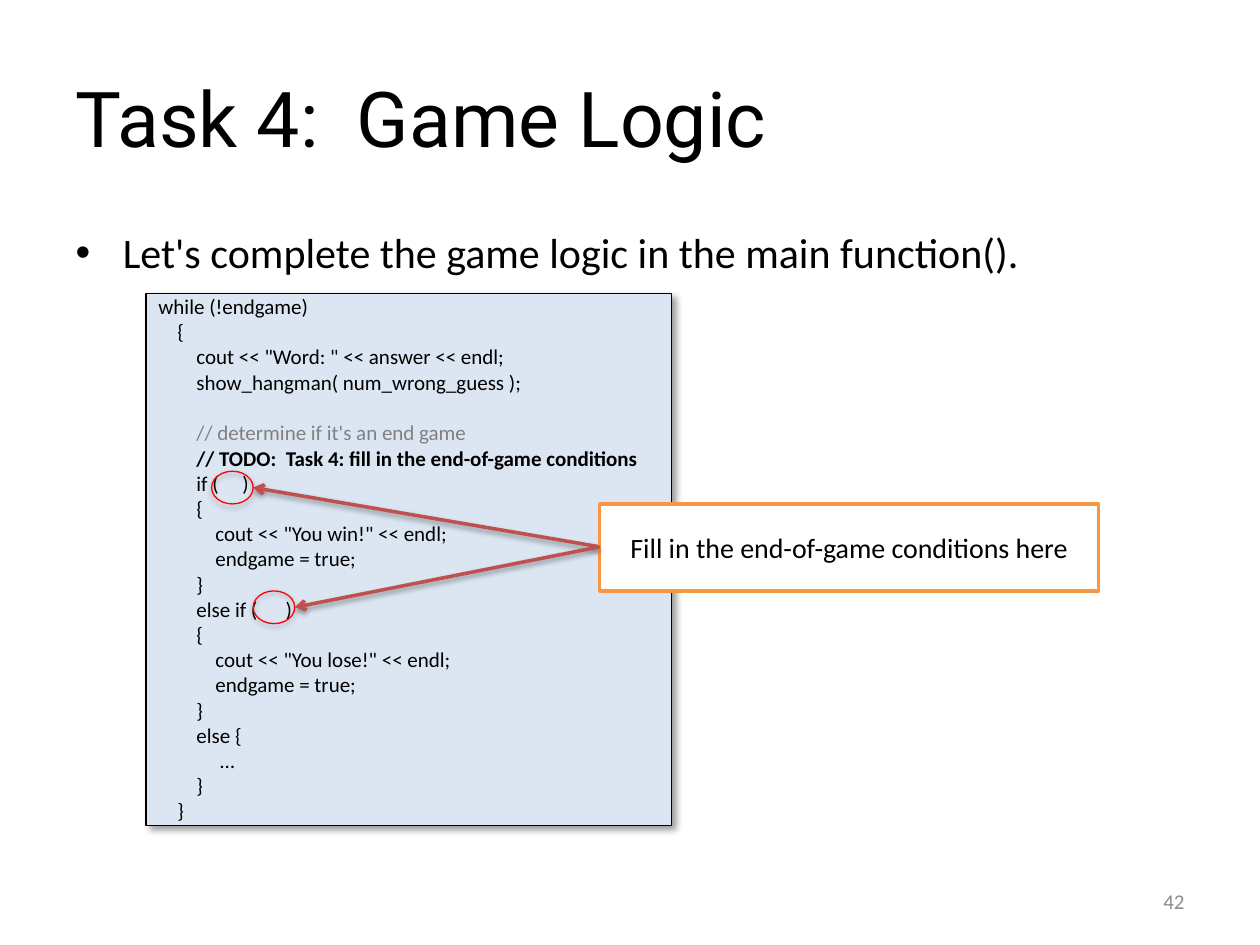
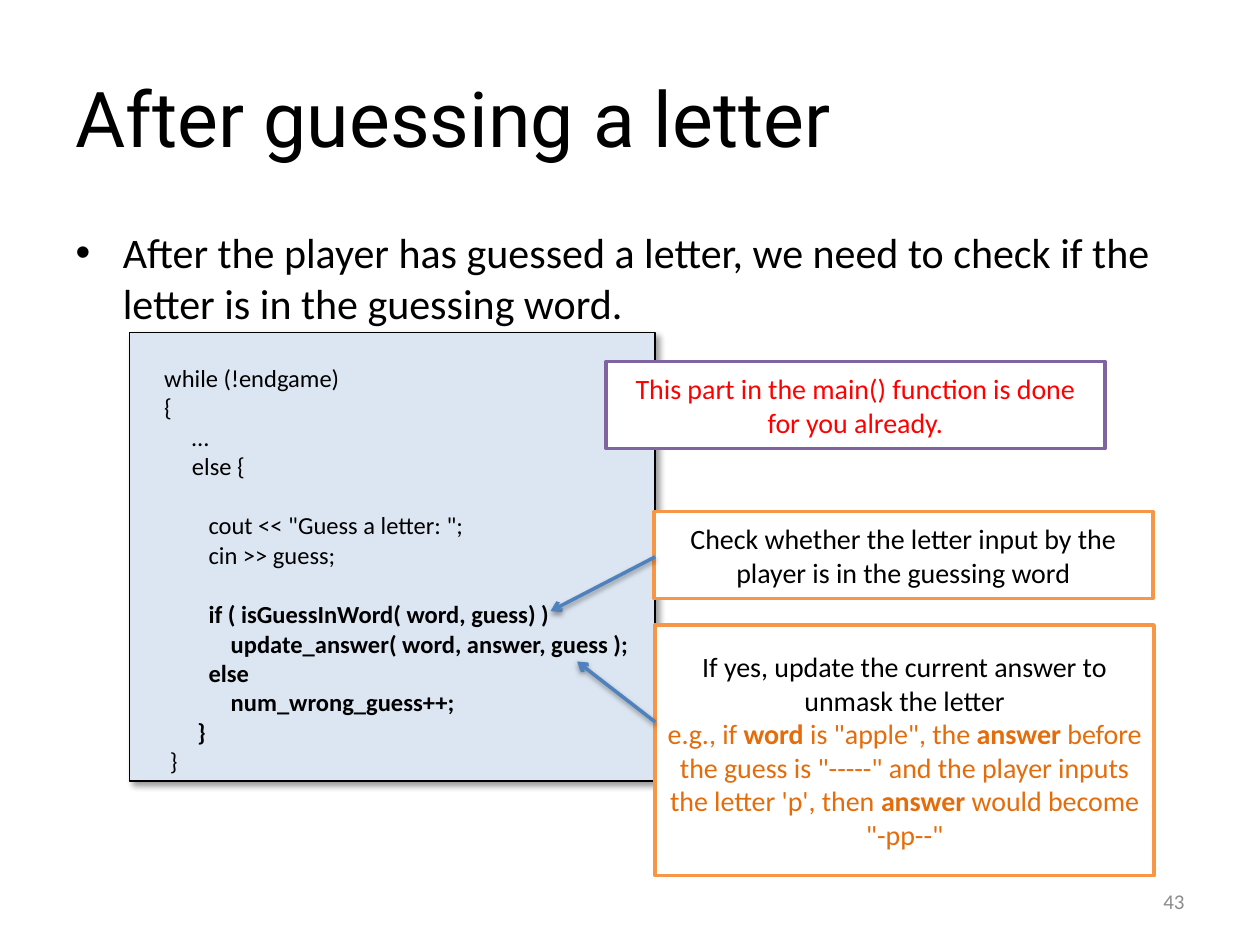
from lxml.etree import SubElement as Sub
from pptx import Presentation
from pptx.dml.color import RGBColor as RGB
from pptx.enum.shapes import MSO_CONNECTOR as Link, MSO_SHAPE as Form
from pptx.enum.text import MSO_ANCHOR as Anchor, PP_ALIGN as Align
from pptx.oxml.ns import qn
from pptx.util import Inches, Pt

THEME = {
    "ink": "000000", "dim": "808080", "page": "8C8C8C", "white": "FFFFFF",
    "panel": "DCE6F2", "red": "FF0000", "brick": "C0504D", "blue": "4F81BD",
    "orange": "F79646", "rust": "E46C0A", "violet": "8064A2",
    "head": "Roboto", "text": "Calibri",
    "title": 44, "body": 24, "note": 16, "foot": 12,
    "thin": 0.75, "thick": 2, "space": 0.226, "lead": 1.22,
    "panel_shade": (40, 4, 3, 45), "ring_shade": (35, 3.1, 1.8, 90),
    "arrow_shade": (38, 3.1, 1.6, 90),
}

GAME = """\
while (!endgame)
    {
        cout << "Word: " << answer << endl;
        show_hangman( num_wrong_guess );

        // determine if it's an end game
        *// TODO:  Task 4: fill in the end-of-game conditions*
        if (     )
        {
            cout << "You win!" << endl;
            endgame = true;
        }
        else if (      )
        {
            cout << "You lose!" << endl;
            endgame = true;
        }
        else {
             \u2026
        }
    }"""

GUESS = """\
    while (!endgame)
    {
         \u2026
         else {

            cout << "Guess a letter: ";
            cin >> guess;

            *if ( isGuessInWord( word, guess) )*
                *update_answer( word, answer, guess );*
            *else*
                *num_wrong_guess++;*
          *}*
     }"""


def put(item, form):
    for name, value in form.items():
        setattr(item, name, value)


def place(shape, box):
    put(shape, dict(zip(("left", "top", "width", "height"), map(Inches, box))))


class Deck:
    def __init__(self, theme):
        self.look = theme
        self.file = Presentation()
        put(self.file, {"slide_width": Inches(10), "slide_height": Inches(7.5)})

    def tint(self, name):
        return RGB.from_string(self.look[name])

    def words(self, para, text, size, color="ink", face="text"):
        for i, part in enumerate(text.split("*")):
            if part:
                run = para.add_run()
                run.text = part
                put(run.font, {"name": self.look[face], "size": Pt(size), "bold": i % 2 == 1})
                run.font.color.rgb = self.tint(color)

    def shade(self, shape, values):
        alpha, blur, gap, turn = values
        effect = Sub(shape.element.spPr, qn("a:effectLst"))
        drop = Sub(effect, qn("a:outerShdw"), blurRad=str(Pt(blur)), dist=str(Pt(gap)),
                   dir=str(turn * 60000), algn="ctr", rotWithShape="0")
        color = Sub(drop, qn("a:srgbClr"), val=self.look["ink"])
        Sub(color, qn("a:alpha"), val=str(alpha * 1000))

    def stroke(self, shape, color, width):
        shape.line.color.rgb = self.tint(color)
        shape.line.width = Pt(self.look[width])

    def form(self, kind, box, fill, line, width, shade=None):
        shape = self.slide.shapes.add_shape(kind, *map(Inches, box))
        if fill:
            shape.fill.solid()
            shape.fill.fore_color.rgb = self.tint(fill)
        else:
            shape.fill.background()
        self.stroke(shape, line, width)
        if shade:
            self.shade(shape, self.look[shade])
        else:
            shape.shadow.inherit = False
        return shape

    def page(self, title, point, number):
        self.slide = self.file.slides.add_slide(self.file.slide_layouts[1])
        head, body = self.slide.shapes.title, self.slide.placeholders[1]
        place(head, (0.5, 0.3, 9, 1.25))
        place(body, (0.5, 1.75, 9, 4.95))
        head.text_frame.vertical_anchor = Anchor.MIDDLE
        para = head.text_frame.paragraphs[0]
        para.alignment = Align.LEFT
        self.words(para, title, self.look["title"], face="head")
        self.words(body.text_frame.paragraphs[0], point, self.look["body"])
        foot = self.slide.shapes.add_textbox(*map(Inches, (7.17, 6.95, 2.33, 0.4)))
        put(foot.text_frame, {"word_wrap": True, "vertical_anchor": Anchor.MIDDLE})
        para = foot.text_frame.paragraphs[0]
        para.alignment = Align.RIGHT
        self.words(para, str(number), self.look["foot"], "page")

    def code(self, text, box, size, top=0):
        shape = self.form(Form.RECTANGLE, box, "panel", "ink", "thin", "panel_shade")
        frame = shape.text_frame
        put(frame, {"word_wrap": True, "vertical_anchor": Anchor.TOP,
                    "margin_top": Inches(top), "margin_bottom": 0})
        para, gap = frame.paragraphs[0], 0
        for i, line in enumerate(text.split("\n")):
            bare = line.lstrip()
            if not bare:
                gap = size * self.look["lead"]
                continue
            if i:
                para = frame.add_paragraph()
            put(para, {"alignment": Align.LEFT, "space_before": Pt(gap)})
            dent = Pt((len(line) - len(bare)) * size * self.look["space"])
            para._p.get_or_add_pPr().set("marL", str(dent))
            self.words(para, bare, size, "dim" if bare.startswith("//") else "ink")
            gap = 0

    def note(self, box, line, *parts):
        shape = self.form(Form.RECTANGLE, box, "white", line, "thick")
        frame = shape.text_frame
        put(frame, {"word_wrap": True, "vertical_anchor": Anchor.MIDDLE})
        for i, (text, color) in enumerate(parts):
            para = frame.add_paragraph() if i else frame.paragraphs[0]
            para.alignment = Align.CENTER
            self.words(para, text, self.look["note"], color)

    def ring(self, left, top):
        self.form(Form.OVAL, (left, top, 0.33, 0.26), None, "red", "thin", "ring_shade")

    def arrow(self, start, end, color):
        line = self.slide.shapes.add_connector(Link.STRAIGHT, *map(Inches, start + end))
        self.stroke(line, color, "thick")
        Sub(line.element.spPr.get_or_add_ln(), qn("a:tailEnd"), type="arrow")
        self.shade(line, self.look["arrow_shade"])


deck = Deck(THEME)
wide, high = 3.96, 0.69

deck.page("Task 4:  Game Logic", "Let's complete the game logic in the main function().", 42)
deck.code(GAME, (1.16, 2.33, 4.17, 4.22), 12)
hub = (4.76, 4.34)
deck.ring(2.01, 4.69)
deck.arrow(hub, (2.01, 3.87), "brick")
deck.note((4.76, 4, wide, high), "orange", ("Fill in the end-of-game conditions here", "ink"))
deck.arrow(hub, (2.34, 4.82), "brick")
deck.ring(1.68, 3.74)

deck.page("After guessing a letter",
          "After the player has guessed a letter, we need to check if the "
          "letter is in the guessing word.", 43)
deck.code(GUESS, (1.03, 2.64, 4.17, 3.56), 14, top=0.24)
deck.note((5.19, 4.06, wide, high), "orange",
          ("Check whether the letter input by the player is in the guessing word", "ink"))
deck.note((5.2, 4.96, wide, 1.99), "orange",
          ("If yes, update the current answer to unmask the letter", "ink"),
          ("e.g., if *word* is \"apple\", the *answer *before the guess is \"-----\" and the "
           "player inputs the letter 'p', then *answer *would become \"-pp--\"", "rust"))
for start, end in (((5.2, 4.42), (4.37, 4.85)), ((5.2, 5.73), (4.58, 5.25))):
    deck.arrow(start, end, "blue")
deck.note((4.81, 2.87, wide, high), "violet",
          ("This part in the main() function is done for you already.", "red"))

deck.file.save("out.pptx")
